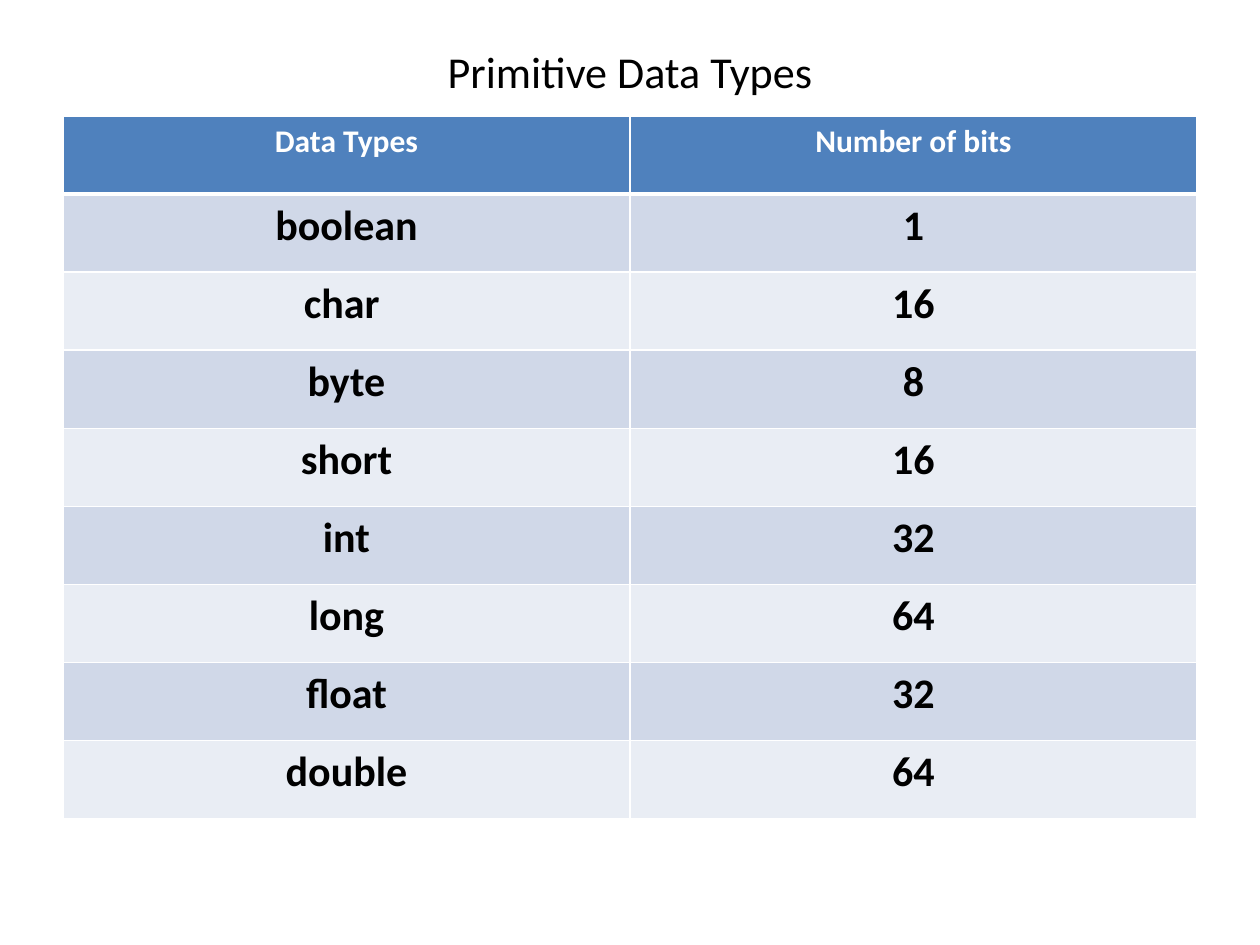
from pptx import Presentation
from pptx import util as u
from pptx.dml.color import RGBColor
from pptx.enum import text
from pptx.oxml import parse_xml
from pptx.oxml.ns import nsdecls

WIDE, HIGH = u.Inches(10), u.Inches(7.5)
EDGE = 0.05
FONT = "Calibri"
BLACK = RGBColor(0, 0, 0)
WHITE = RGBColor(255, 255, 255)
BLUE = RGBColor(0x4F, 0x81, 0xBD)
BANDS = [RGBColor(0xD0, 0xD8, 0xE8), RGBColor(0xE9, 0xED, 0xF4)]
HEAD = ("Data Types", "Number of bits")
TYPES = [("boolean", "1"), ("char ", "16"), ("byte", "8"), ("short", "16"),
         ("int", "32"), ("long", "64"), ("float", "32"), ("double", "64")]


def write(frame, words, size, color, bold=False):
    para = frame.paragraphs[0]
    para.alignment = text.PP_ALIGN.CENTER
    run = para.add_run()
    run.text = words
    font = run.font
    font.name, font.size, font.bold = FONT, u.Pt(size), bold
    font.color.rgb = color


def border(cell, side, width):
    cell._tc.get_or_add_tcPr().append(parse_xml(
        f'<a:ln{side} {nsdecls("a")} w="{u.Pt(width)}"><a:solidFill>'
        f'<a:srgbClr val="{WHITE}"/></a:solidFill></a:ln{side}>'))


def add_title(slide, words):
    title = slide.shapes.title
    title.left, title.top = int(WIDE * EDGE), int(HIGH * 0.04)
    title.width, title.height = int(WIDE * (1 - 2 * EDGE)), int(HIGH * 0.07)
    title.text_frame.vertical_anchor = text.MSO_ANCHOR.MIDDLE
    write(title.text_frame, words, 25.2, BLACK)


def fill_cell(cell, row, words):
    for side in "LRTB":
        thick = (row, side) in ((0, "B"), (1, "T"))
        border(cell, side, 3 if thick else 1)
    cell.fill.solid()
    if row == 0:
        cell.fill.fore_color.rgb = BLUE
        write(cell.text_frame, words, 18, WHITE, True)
    else:
        cell.fill.fore_color.rgb = BANDS[(row - 1) % 2]
        write(cell.text_frame, words, 24, BLACK, True)


def add_grid(slide, rows):
    step = u.Inches(0.62)
    grid = slide.shapes.add_table(
        len(rows), len(rows[0]), int(WIDE * EDGE), u.Inches(0.92),
        int(WIDE * (1 - 2 * EDGE)), step * len(rows)).table
    for row, line in enumerate(rows):
        grid.rows[row].height = step
        for col, words in enumerate(line):
            fill_cell(grid.cell(row, col), row, words)


def main():
    deck = Presentation()
    deck.slide_width, deck.slide_height = WIDE, HIGH
    slide = deck.slides.add_slide(deck.slide_layouts[5])
    add_title(slide, "Primitive Data Types")
    add_grid(slide, [HEAD] + TYPES)
    deck.save("out.pptx")


main()
